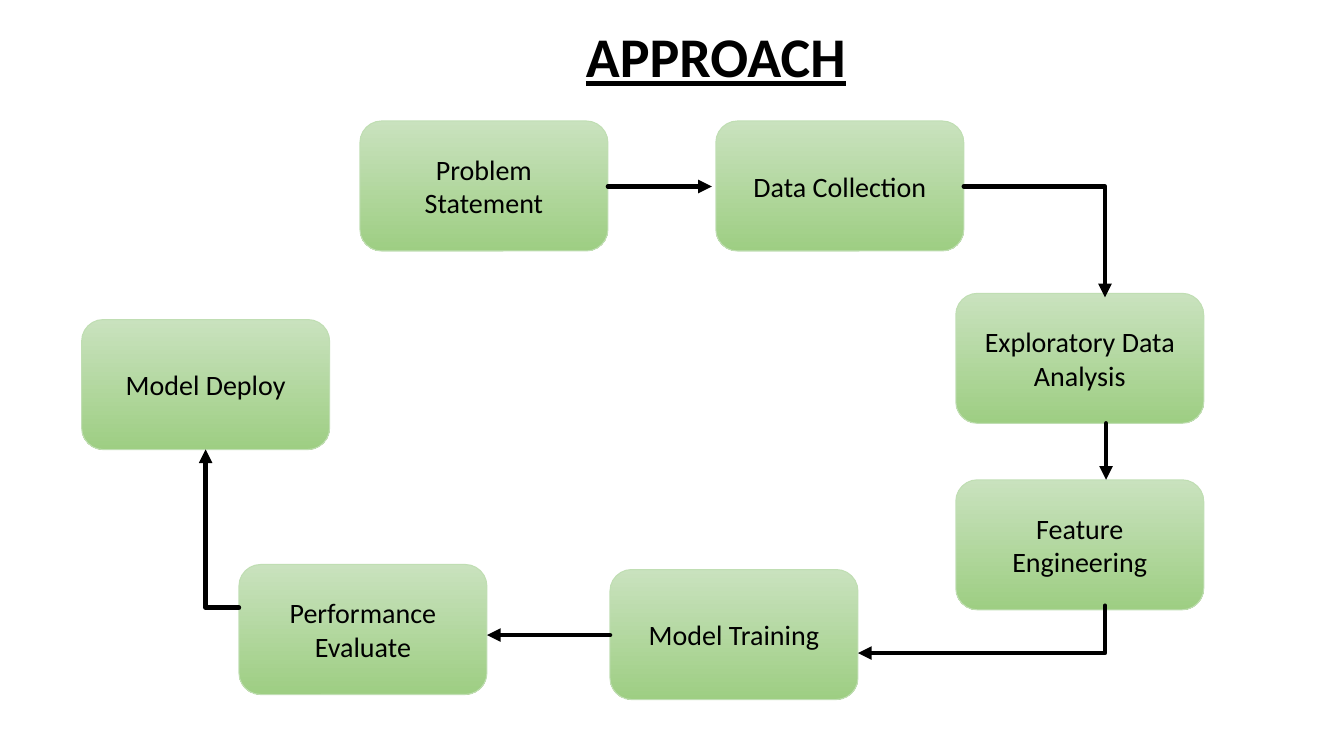
from dataclasses import dataclass

from lxml.etree import SubElement
from pptx import Presentation
from pptx.dml.color import RGBColor
from pptx.enum.shapes import MSO_CONNECTOR as Link, MSO_SHAPE as Shape
from pptx.enum.text import MSO_ANCHOR as Anchor, PP_ALIGN as Align
from pptx.oxml.ns import qn
from pptx.util import Inches, Pt


@dataclass(frozen=True)
class Theme:
    """Colours, font and sizes shared by the slide."""
    font: str = "Calibri"
    ink: RGBColor = RGBColor(0, 0, 0)
    top: RGBColor = RGBColor(0xC9, 0xE2, 0xBE)
    bottom: RGBColor = RGBColor(0x9E, 0xCE, 0x83)
    edge: RGBColor = RGBColor(0xC0, 0xDE, 0xB3)
    title_size: Pt = Pt(40)
    step_size: Pt = Pt(20)
    edge_width: Pt = Pt(0.75)
    arrow_width: Pt = Pt(3.25)


THEME = Theme()
STEP_WIDTH, STEP_HEIGHT = 2.46, 1.29
STEPS = [
    ("Problem Statement", 3.57, 1.2),
    ("Data Collection", 7.1, 1.2),
    ("Exploratory Data Analysis", 9.48, 2.91),
    ("Feature Engineering", 9.48, 4.76),
    ("Model Training", 6.05, 5.65),
    ("Performance Evaluate", 2.37, 5.6),
    ("Model Deploy", 0.81, 3.17),
]
STRAIGHT_ARROWS = [
    ((6.03, 1.85), (7.06, 1.85)),
    ((10.97, 4.2), (10.97, 4.76)),
    ((6.05, 6.3), (4.83, 6.3)),
]
BENT_ARROWS = [
    ((9.56, 1.85), (10.96, 2.95), "tailEnd"),
    ((8.51, 6.48), (10.96, 6.01), "headEnd"),
    ((2.37, 6.03), (2.04, 4.46), "tailEnd"),
]


def write(shape, text, size):
    """Put one centred paragraph into a shape and return it."""
    frame = shape.text_frame
    frame.word_wrap = True
    frame.vertical_anchor = Anchor.MIDDLE
    para = frame.paragraphs[0]
    para.text = text
    para.alignment = Align.CENTER
    para.font.name = THEME.font
    para.font.size = size
    para.font.color.rgb = THEME.ink
    return para


def add_title(page, text, box):
    """Add the underlined heading in the given box."""
    heading = page.shapes.add_textbox(*map(Inches, box))
    para = write(heading, text, THEME.title_size)
    para.font.bold = True
    para.font.underline = True


def add_step(page, text, box):
    """Add one green rounded step in the given box."""
    step = page.shapes.add_shape(Shape.ROUNDED_RECTANGLE, *map(Inches, box))
    step.shadow.inherit = False
    step.fill.gradient()
    step.fill.gradient_angle = 270
    for stop, color, position in zip(
            step.fill.gradient_stops, (THEME.top, THEME.bottom), (0, 1)):
        stop.color.rgb = color
        stop.position = position
    step.line.color.rgb = THEME.edge
    step.line.width = THEME.edge_width
    write(step, text, THEME.step_size)


def add_arrow(page, start, end, kind=Link.STRAIGHT, tip="tailEnd"):
    """Add a black arrow between two points, with its tip at one end."""
    arrow = page.shapes.add_connector(kind, *map(Inches, start + end))
    arrow.line.color.rgb = THEME.ink
    arrow.line.width = THEME.arrow_width
    line = arrow.line._get_or_add_ln()
    line.set("cap", "rnd")
    SubElement(line, qn("a:round"))
    SubElement(line, qn(f"a:{tip}"), type="triangle")
    properties = arrow._element.spPr
    SubElement(properties, qn("a:effectLst"))
    if kind == Link.ELBOW:
        properties.find(qn("a:prstGeom")).set("prst", "bentConnector2")


def add_flow(page):
    """Add the steps and the arrows that join them."""
    for text, left, top in STEPS:
        add_step(page, text, (left, top, STEP_WIDTH, STEP_HEIGHT))
    for start, end in STRAIGHT_ARROWS:
        add_arrow(page, start, end)
    for start, end, tip in BENT_ARROWS:
        add_arrow(page, start, end, Link.ELBOW, tip)


def main():
    """Build the deck and save it."""
    deck = Presentation()
    deck.slide_width, deck.slide_height = Inches(13.33), Inches(7.5)
    page = deck.slides.add_slide(deck.slide_layouts[6])
    add_title(page, "APPROACH", (1.62, -0.41, 10.96, 1.92))
    add_flow(page)
    deck.save("out.pptx")


if __name__ == "__main__":
    main()
